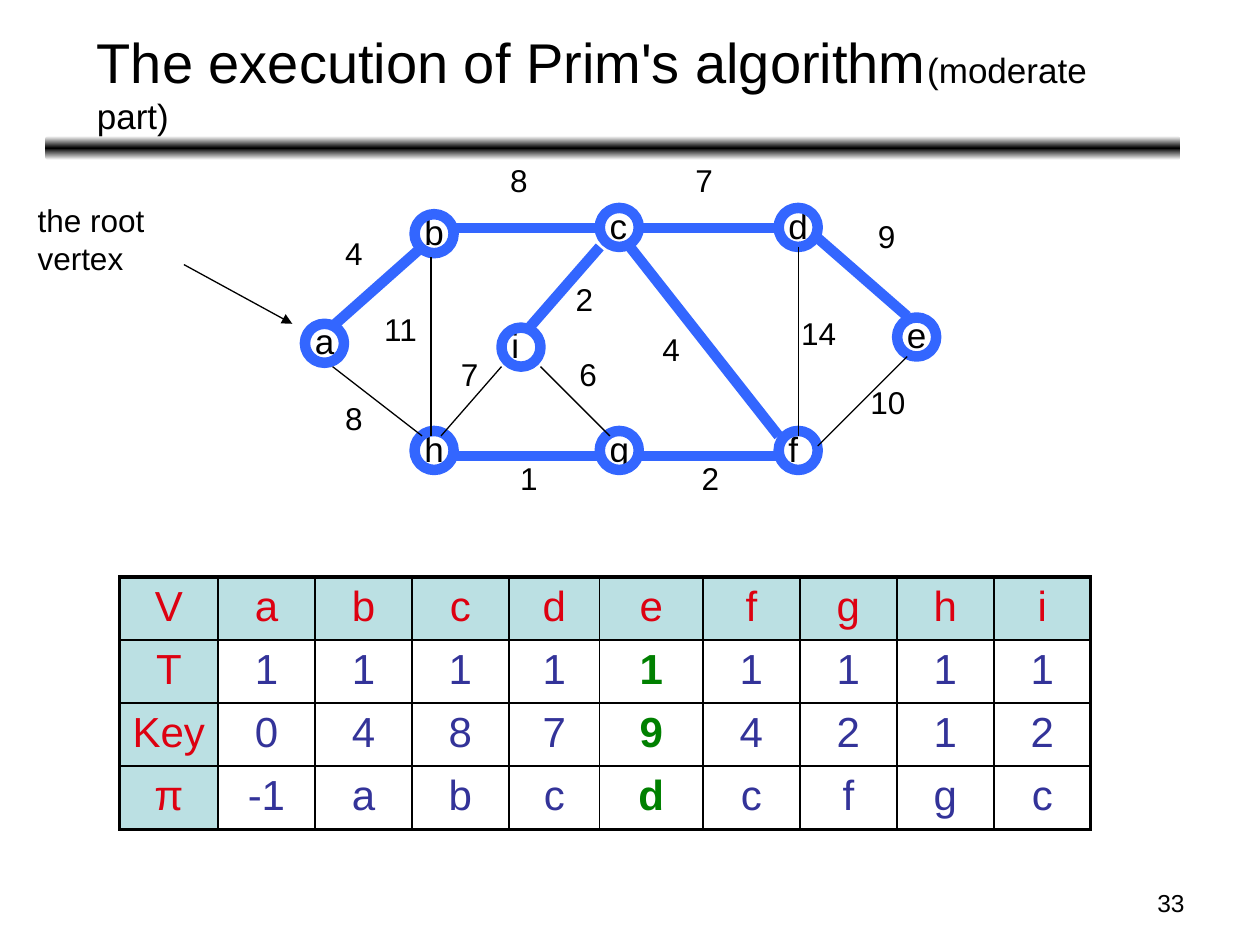
import pptx
import pptx.util
from lxml import etree
from pptx.dml.color import RGBColor
from pptx.enum.shapes import MSO_CONNECTOR, MSO_SHAPE
from pptx.enum.text import PP_ALIGN
from pptx.oxml import parse_xml
from pptx.oxml.ns import nsdecls, qn
from pptx.util import Inches

BLACK = RGBColor(0x00, 0x00, 0x00)
BLUE = RGBColor(0x33, 0x66, 0xFF)
RED = RGBColor(0xDD, 0x01, 0x11)
NAVY = RGBColor(0x33, 0x33, 0x99)
GREEN = RGBColor(0x00, 0x80, 0x00)
PALE = RGBColor(0xBB, 0xE0, 0xE3)

RING = 0.31
NODES = {
    "a": (2.42, 2.57), "b": (3.29, 1.7), "h": (3.29, 3.42),
    "c": (4.76, 1.65), "d": (6.18, 1.65), "e": (7.12, 2.52),
    "f": (6.18, 3.42), "g": (4.76, 3.42), "i": (3.98, 2.6),
}
TREE_EDGES = [
    ((2.64, 2.59), (3.35, 1.96)), ((3.58, 1.81), (4.76, 1.81)),
    ((3.58, 3.62), (4.76, 3.62)), ((5.08, 3.62), (6.18, 3.62)),
    ((5, 1.96), (6.18, 3.46)), ((5.08, 1.81), (6.18, 1.81)),
    ((6.49, 1.89), (7.2, 2.51)), ((4.21, 2.59), (4.76, 1.96)),
]
OTHER_EDGES = [
    ((2.64, 2.91), (3.35, 3.46)), ((3.42, 2.04), (3.42, 3.46)),
    ((6.34, 1.96), (6.34, 3.46)), ((6.49, 3.54), (7.2, 2.83)),
    ((4.29, 2.91), (4.84, 3.46)), ((3.5, 3.46), (3.98, 2.91)),
]
WEIGHTS = [
    ("4", 2.64, 1.81), ("8", 3.95, 1.23), ("7", 5.42, 1.23), ("9", 6.87, 1.67),
    ("10", 6.81, 2.99), ("14", 6.26, 2.44), ("4", 5.16, 2.57), ("2", 4.47, 2.17),
    ("2", 5.47, 3.59), ("6", 4.5, 2.77), ("1", 4.03, 3.59), ("7", 3.56, 2.77),
    ("11", 2.95, 2.41), ("8", 2.64, 3.12),
]
ROWS = [
    ["V", *"abcdefghi"],
    ["T", *"111111111"],
    ["Key", *"048794212"],
    ["π", "-1", *"abcdcfgc"],
]
COLUMN_WIDTHS = [0.78, 0.77, 0.77, 0.77, 0.72, 0.82, 0.77, 0.77, 0.77, 0.77]
CURRENT_COLUMN = 5


class SlideBuilder:
    font_name = "Arial"

    def __init__(self, slide):
        self.slide = slide

    def style(self, font, size, color=BLACK, bold=False):
        font.name = self.font_name
        font.size = pptx.util.Pt(size)
        font.color.rgb = color
        font.bold = bold

    def text(self, left, top, width, height, runs, align=PP_ALIGN.LEFT):
        """Each run is a (text, size) pair."""
        box = self.slide.shapes.add_textbox(
            Inches(left), Inches(top), Inches(width), Inches(height))
        box.text_frame.word_wrap = True
        paragraph = box.text_frame.paragraphs[0]
        paragraph.alignment = align
        self.style(paragraph.font, runs[0][1])
        for wording, size in runs:
            run = paragraph.add_run()
            run.text = wording
            if len(runs) > 1:
                self.style(run.font, size)

    def gradient_bar(self, left, top, width, height):
        bar = self.slide.shapes.add_shape(
            MSO_SHAPE.ROUNDED_RECTANGLE,
            Inches(left), Inches(top), Inches(width), Inches(height))
        bar.shadow.inherit = False
        bar.line.fill.background()
        bar.fill.gradient()
        bar.fill.gradient_angle = 270
        stops = bar._element.spPr.find(qn("a:gradFill")).find(qn("a:gsLst"))
        for stop in list(stops):
            stops.remove(stop)
        for position, color in ((0, "FFFFFF"), (50000, "000000"), (100000, "FFFFFF")):
            stops.append(parse_xml(
                f'<a:gs {nsdecls("a")} pos="{position}"><a:srgbClr val="{color}"/></a:gs>'))

    def node(self, letter, left, top):
        self.text(left - 0.02, top - 0.08, 0.36, 0.43, [(letter, 20)])
        ring = self.slide.shapes.add_shape(
            MSO_SHAPE.OVAL, Inches(left), Inches(top), Inches(RING), Inches(RING))
        ring.shadow.inherit = False
        ring.fill.background()
        ring.line.color.rgb = BLUE
        ring.line.width = pptx.util.Pt(6)

    def line(self, start, end, color=BLACK, width=0.75, arrow=False):
        connector = self.slide.shapes.add_connector(
            MSO_CONNECTOR.STRAIGHT, *(Inches(value) for value in (*start, *end)))
        connector.line.color.rgb = color
        connector.line.width = pptx.util.Pt(width)
        if arrow:
            etree.SubElement(connector.line._get_or_add_ln(), qn("a:tailEnd"), type="triangle")
        etree.SubElement(connector._element.spPr, qn("a:effectLst"))

    def border(self, cell, side, width):
        cell._tc.get_or_add_tcPr().append(parse_xml(
            f'<a:{side} {nsdecls("a")} w="{pptx.util.Pt(width)}"><a:solidFill>'
            f'<a:srgbClr val="{BLACK}"/></a:solidFill></a:{side}>'))

    def table(self, left, top, rows, widths, row_height):
        last_row, last_column = len(rows) - 1, len(widths) - 1
        table = self.slide.shapes.add_table(
            len(rows), len(widths), Inches(left), Inches(top),
            Inches(sum(widths)), Inches(row_height * len(rows))).table
        table.first_row = table.horz_banding = False
        for column, width in zip(table.columns, widths):
            column.width = Inches(width)
        for r, values in enumerate(rows):
            table.rows[r].height = Inches(row_height)
            for c, value in enumerate(values):
                cell = table.cell(r, c)
                heading = r == 0 or c == 0
                current = c == CURRENT_COLUMN and not heading
                # Outer edges are thick; borders come before the fill
                for side, outer in (("lnL", c == 0), ("lnR", c == last_column),
                                    ("lnT", r == 0), ("lnB", r == last_row)):
                    self.border(cell, side, 2.25 if outer else 1)
                if heading:
                    cell.fill.solid()
                    cell.fill.fore_color.rgb = PALE
                else:
                    cell.fill.background()
                cell.text = value
                paragraph = cell.text_frame.paragraphs[0]
                paragraph.alignment = PP_ALIGN.CENTER
                color = RED if heading else GREEN if current else NAVY
                self.style(paragraph.font, 24, color, current)


def main():
    presentation = pptx.Presentation()
    presentation.slide_width = Inches(10)
    presentation.slide_height = Inches(7.5)
    builder = SlideBuilder(presentation.slides.add_slide(presentation.slide_layouts[6]))

    # Title, rule and slide number
    builder.gradient_bar(0.36, 1.08, 9.01, 0.19)
    builder.text(7.17, 7, 2.33, 0.35, [("33", 14)], PP_ALIGN.RIGHT)
    builder.text(0.67, 0.17, 8.58, 0.63,
                 [("The execution of Prim's algorithm", 32), ("(moderate part)", 20)])

    # Root vertex callout
    builder.text(0.2, 1.55, 1.34, 0.9, [("the root vertex", 18)])
    builder.line((1.46, 2.1), (2.32, 2.57), arrow=True)

    # Vertex table
    builder.table(0.95, 4.58, ROWS, COLUMN_WIDTHS, 0.5)

    # Graph
    for letter, (left, top) in NODES.items():
        builder.node(letter, left, top)
    for start, end in TREE_EDGES:
        builder.line(start, end, BLUE, 6)
    for start, end in OTHER_EDGES:
        builder.line(start, end)
    for weight, left, top in WEIGHTS:
        builder.text(left, top, 0.2 + 0.14 * len(weight), 0.4, [(weight, 18)])

    presentation.save("out.pptx")


if __name__ == "__main__":
    main()
